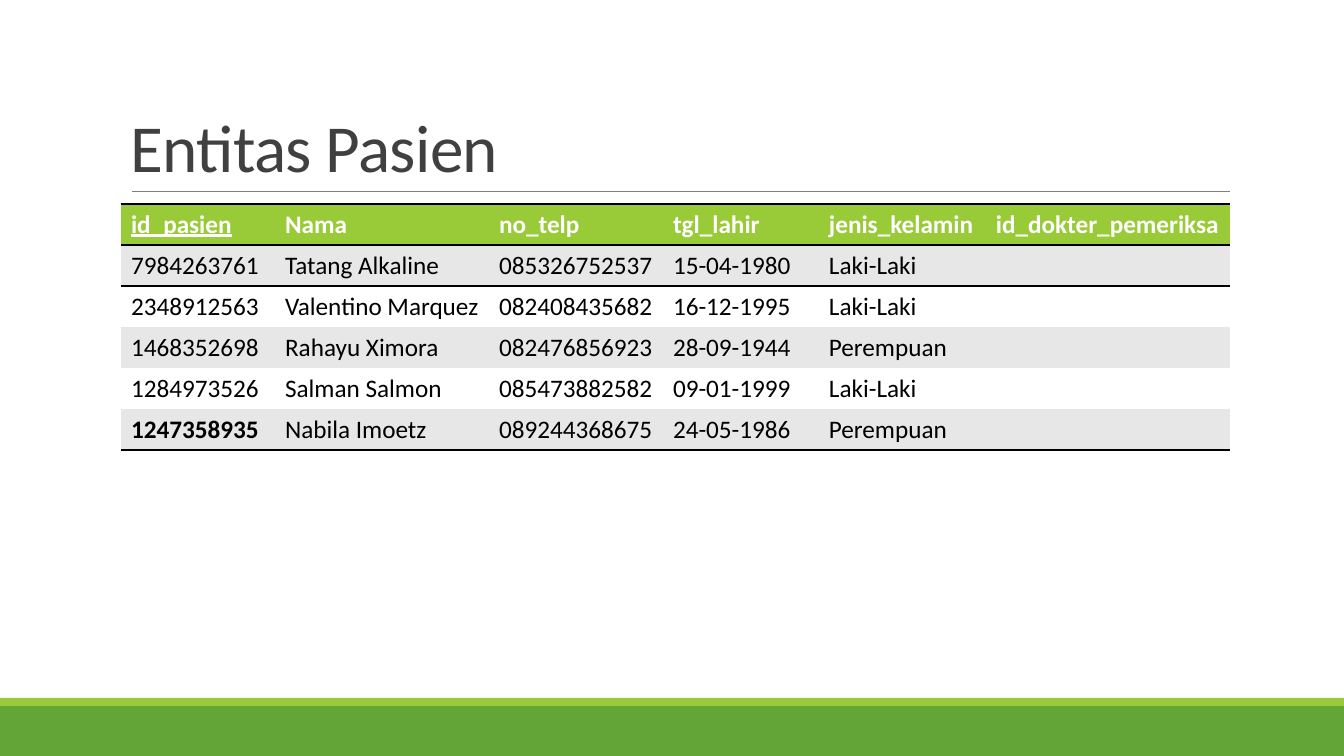
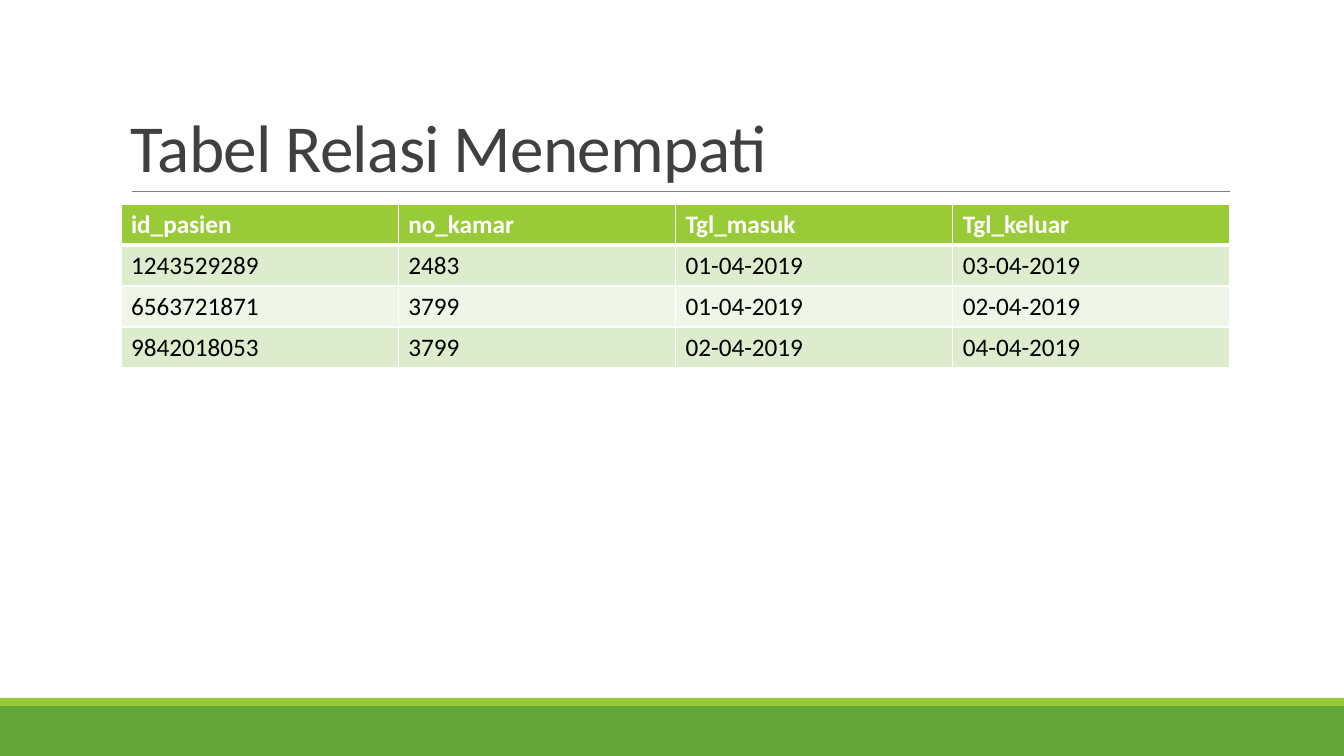
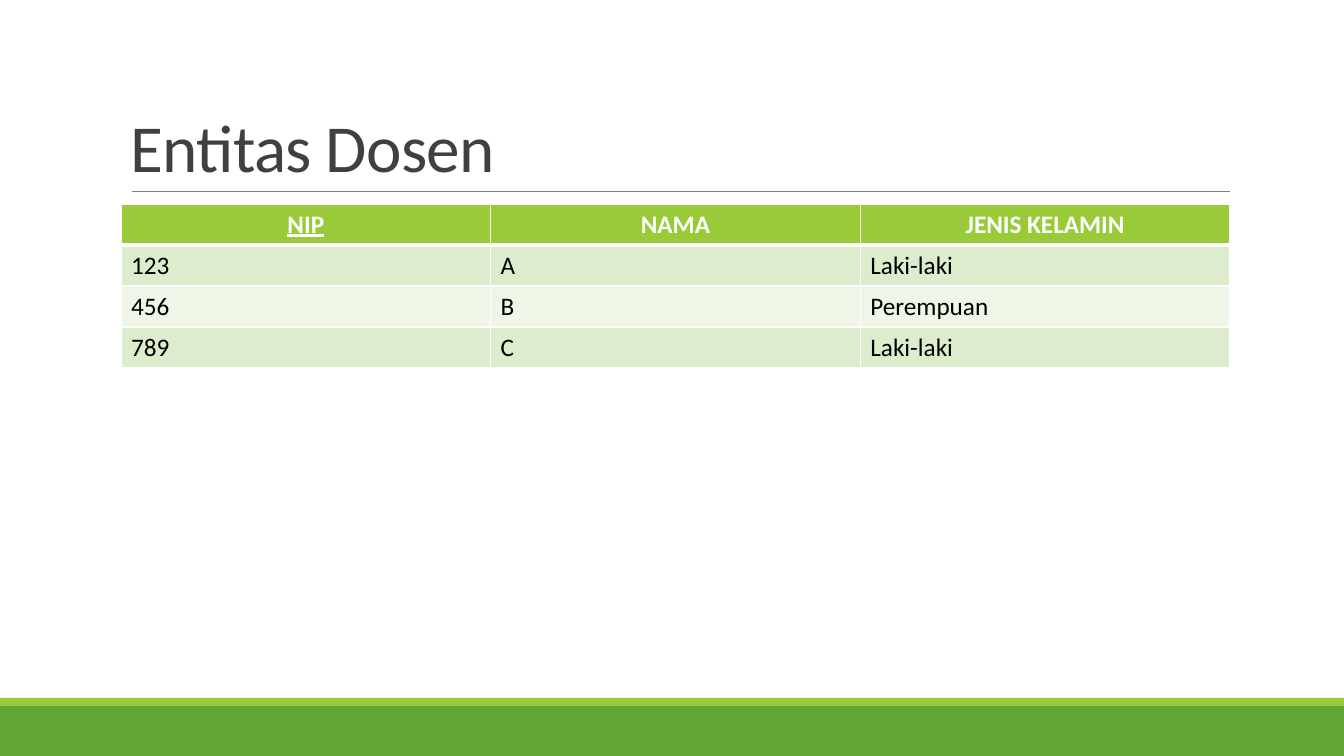
from lxml.etree import SubElement
from pptx import Presentation
from pptx.dml.color import RGBColor
from pptx.enum.shapes import MSO_CONNECTOR, MSO_SHAPE
from pptx.enum.text import MSO_ANCHOR, PP_ALIGN
from pptx.oxml.ns import qn
from pptx.util import Emu, Pt

SLIDE_WIDTH, SLIDE_HEIGHT = 1344, 756
EMU_PER_PX = 12192000 / SLIDE_WIDTH
TABLE_LEFT, TABLE_TOP, TABLE_WIDTH, ROW_HEIGHT = 121, 204, 1109, 41
NO_STYLE = "{2D5ABB26-0587-4C30-8999-92F81FD0307C}"

COLORS = {
    "band": "63A537",
    "accent": "99CB38",
    "rule": "808080",
    "title": "404040",
    "black": "000000",
    "white": "FFFFFF",
    "gray": "E7E7E7",
    "green": "DEECCE",
    "pale green": "EFF6E8",
}
RGB = {name: RGBColor.from_string(value) for name, value in COLORS.items()}

BANDS = [("band", 706, 50), ("accent", 698, 8)]

# Border widths are points; "horizontal" maps a row boundary to its width.
RULED = {"border": "black", "vertical": 0, "inner": 0,
         "horizontal": {0: 2, 1: 2, -1: 2}, "stripes": ["gray", "white"]}
GRID = {"border": "white", "vertical": 1, "inner": 1,
        "horizontal": {1: 3}, "stripes": ["green", "pale green"]}

SLIDES = [
    {
        "title": "Entitas Pasien",
        "style": RULED,
        "columns": [154, 214, 174, 156, 167, 244],
        "underlined": "id_pasien",
        "bold": "1247358935",
        "rows": [
            ["id_pasien", "Nama", "no_telp", "tgl_lahir", "jenis_kelamin", "id_dokter_pemeriksa"],
            ["7984263761", "Tatang Alkaline", "085326752537", "15-04-1980", "Laki-Laki", ""],
            ["2348912563", "Valentino Marquez", "082408435682", "16-12-1995", "Laki-Laki", ""],
            ["1468352698", "Rahayu Ximora", "082476856923", "28-09-1944", "Perempuan", ""],
            ["1284973526", "Salman Salmon", "085473882582", "09-01-1999", "Laki-Laki", ""],
            ["1247358935", "Nabila Imoetz", "089244368675", "24-05-1986", "Perempuan", ""],
        ],
    },
    {
        "title": "Tabel Relasi Menempati",
        "style": GRID,
        "rows": [
            ["id_pasien", "no_kamar", "Tgl_masuk", "Tgl_keluar"],
            ["1243529289", "2483", "01-04-2019", "03-04-2019"],
            ["6563721871", "3799", "01-04-2019", "02-04-2019"],
            ["9842018053", "3799", "02-04-2019", "04-04-2019"],
        ],
    },
    {
        "title": "Entitas Dosen",
        "style": GRID,
        "underlined": "NIP",
        "header_alignment": PP_ALIGN.CENTER,
        "rows": [
            ["NIP", "NAMA", "JENIS KELAMIN"],
            ["123", "A", "Laki-laki"],
            ["456", "B", "Perempuan"],
            ["789", "C", "Laki-laki"],
        ],
    },
]


def px(*lengths):
    """Turn pixel lengths into a list of EMU."""
    return [Emu(round(length * EMU_PER_PX)) for length in lengths]


def format_run(run, color, **font_values):
    run.font.color.rgb = RGB[color]
    for name, value in {"name": "Calibri", **font_values}.items():
        setattr(run.font, name, value)


presentation = Presentation()
presentation.slide_width, presentation.slide_height = px(SLIDE_WIDTH, SLIDE_HEIGHT)

for content in SLIDES:
    slide = presentation.slides.add_slide(presentation.slide_layouts[6])

    for color, top, height in BANDS:
        band = slide.shapes.add_shape(MSO_SHAPE.RECTANGLE, *px(0, top, SLIDE_WIDTH, height))
        band.shadow.inherit = False
        band.fill.solid()
        band.fill.fore_color.rgb = RGB[color]
        band.line.fill.background()

    title_rule = slide.shapes.add_connector(MSO_CONNECTOR.STRAIGHT, *px(132, 191, 1230, 191))
    title_rule.line.color.rgb = RGB["rule"]
    title_rule.line.width = Pt(0.5)
    SubElement(title_rule._element.spPr, qn("a:effectLst"))

    title_frame = slide.shapes.add_textbox(*px(TABLE_LEFT, 31, TABLE_WIDTH, 160)).text_frame
    title_frame.word_wrap = True
    title_frame.vertical_anchor = MSO_ANCHOR.BOTTOM
    paragraph = title_frame.paragraphs[0]
    paragraph.line_spacing = 0.85
    title_run = paragraph.add_run()
    title_run.text = content["title"]
    format_run(title_run, "title", size=Pt(48))
    title_run.font._element.set("spc", "-50")

    rows, style = content["rows"], content["style"]
    row_count, column_count = len(rows), len(rows[0])
    widths = content.get("columns", [TABLE_WIDTH / column_count] * column_count)
    table = slide.shapes.add_table(
        row_count, column_count,
        *px(TABLE_LEFT, TABLE_TOP, TABLE_WIDTH, ROW_HEIGHT * row_count)).table
    table._tbl.tblPr.find(qn("a:tableStyleId")).text = NO_STYLE
    for column, width in zip(table.columns, px(*widths)):
        column.width = width

    boundaries = [style["inner"]] * (row_count + 1)
    for boundary, width in style["horizontal"].items():
        boundaries[boundary] = width

    for row_index, texts in enumerate(rows):
        is_header = row_index == 0
        fill = "accent" if is_header else style["stripes"][(row_index - 1) % 2]
        edges = {"a:lnL": style["vertical"], "a:lnR": style["vertical"],
                 "a:lnT": boundaries[row_index], "a:lnB": boundaries[row_index + 1]}

        for column_index, text in enumerate(texts):
            cell = table.cell(row_index, column_index)
            properties = cell._tc.get_or_add_tcPr()
            for tag, width in edges.items():
                if width:
                    border = SubElement(properties, qn(tag), w=str(Pt(width)))
                    border_fill = SubElement(border, qn("a:solidFill"))
                    SubElement(border_fill, qn("a:srgbClr"), val=COLORS[style["border"]])
            cell.fill.solid()
            cell.fill.fore_color.rgb = RGB[fill]

            cell.text = text
            paragraph = cell.text_frame.paragraphs[0]
            if is_header:
                paragraph.alignment = content.get("header_alignment")
            for run in paragraph.runs:
                format_run(run, "white" if is_header else "black", size=Pt(18),
                           bold=is_header or text == content.get("bold"),
                           underline=is_header and text == content.get("underlined"))

presentation.save("out.pptx")
